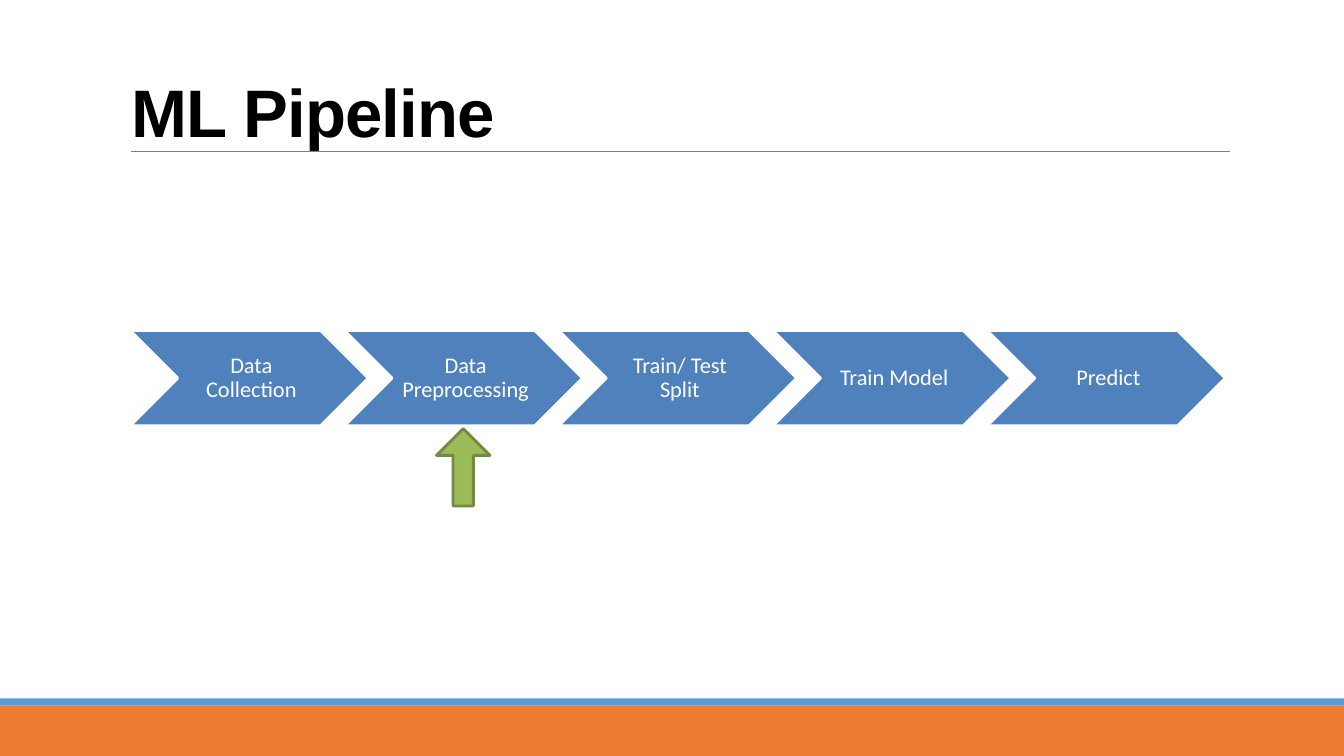
from dataclasses import dataclass

import pptx
import pptx.dml.color
import pptx.enum.shapes
import pptx.enum.text
import pptx.oxml
import pptx.oxml.ns
import pptx.util

Cm = pptx.util.Cm
Pt = pptx.util.Pt
Kind = pptx.enum.shapes.MSO_SHAPE
Align = pptx.enum.text.PP_ALIGN
Anchor = pptx.enum.text.MSO_ANCHOR


@dataclass(frozen=True)
class Theme:
    white: str = "FFFFFF"
    black: str = "000000"
    rule: str = "808080"
    orange: str = "ED7D31"
    sky: str = "5B9BD5"
    blue: str = "4F81BD"
    green: str = "9BBB59"
    moss: str = "738A42"
    head: str = "Arial"
    body: str = "Calibri"
    big: float = 48
    small: float = 16


@dataclass(frozen=True)
class Box:
    left: float
    top: float
    width: float
    height: float


@dataclass(frozen=True)
class Figure:
    kind: Kind
    box: Box
    fill: str
    line: str = ""
    text: str = ""


THEME = Theme()
WIDTH, HEIGHT = 33.87, 19.05
STAGES = ("Data Collection", "Data Preprocessing", "Train/ Test Split",
          "Train Model", "Predict")
FIRST, STEP = 3.28, 5.4


def color(code: str) -> pptx.dml.color.RGBColor:
    return pptx.dml.color.RGBColor.from_string(code)


def write(shape, text: str, *, font: str, size: float, ink: str,
          bold: bool = False, align=Align.LEFT, anchor=Anchor.MIDDLE,
          inset=(0, 0, 0, 0), leading: float = 1, spacing: int = 0) -> None:
    frame = shape.text_frame
    frame.word_wrap = True
    frame.auto_size = pptx.enum.text.MSO_AUTO_SIZE.NONE
    frame.vertical_anchor = anchor
    (frame.margin_left, frame.margin_top,
     frame.margin_right, frame.margin_bottom) = map(Cm, inset)
    line = frame.paragraphs[0]
    line.alignment = align
    line.line_spacing = leading
    run = line.add_run()
    run.text = text
    run.font.name = font
    run.font.size = Pt(size)
    run.font.bold = bold
    run.font.color.rgb = color(ink)
    if spacing:
        run.font._element.set("spc", str(spacing))


def place(shape, box: Box) -> None:
    shape.left, shape.top = Cm(box.left), Cm(box.top)
    shape.width, shape.height = Cm(box.width), Cm(box.height)


def draw(slide, item: Figure):
    shape = slide.shapes.add_shape(item.kind, 0, 0, 0, 0)
    place(shape, item.box)
    shape.shadow.inherit = False
    shape.fill.solid()
    shape.fill.fore_color.rgb = color(item.fill)
    if item.line:
        shape.line.color.rgb = color(item.line)
        shape.line.width = Pt(2)
    else:
        shape.line.fill.background()
    if item.text:
        write(shape, item.text, font=THEME.body, size=THEME.small,
              ink=THEME.white, align=Align.CENTER,
              inset=(0.17, 0.06, 0.06, 0.06), leading=0.9)
    return shape


def rule(slide, left: float, right: float, top: float) -> None:
    line = slide.shapes.add_connector(
        pptx.enum.shapes.MSO_CONNECTOR.STRAIGHT,
        Cm(left), Cm(top), Cm(right), Cm(top))
    line.line.color.rgb = color(THEME.rule)
    line.line.width = Pt(0.48)
    line._element.spPr.append(pptx.oxml.parse_xml(
        f'<a:effectLst {pptx.oxml.ns.nsdecls("a")}/>'))


def main() -> None:
    deck = pptx.Presentation()
    deck.slide_width, deck.slide_height = Cm(WIDTH), Cm(HEIGHT)
    slide = deck.slides.add_slide(deck.slide_layouts[5])

    title = slide.shapes.title
    place(title, Box(3.28, 1.7, 16.4, 2.11))
    write(title, "ML Pipeline", font=THEME.head, size=THEME.big,
          ink=THEME.black, bold=True, anchor=Anchor.BOTTOM,
          inset=(0.03, 0.03, 0, 0), spacing=-60)

    draw(slide, Figure(Kind.RECTANGLE, Box(0, 17.78, WIDTH, 1.27), THEME.orange))
    draw(slide, Figure(Kind.RECTANGLE, Box(0, 17.6, WIDTH, 0.18), THEME.sky))
    rule(slide, 3.31, 30.99, 3.82)

    for index, stage in enumerate(STAGES):
        box = Box(FIRST + index * STEP, 8.33, 6, 2.4)
        draw(slide, Figure(Kind.CHEVRON, box, THEME.blue, THEME.white, stage))

    arrow = draw(slide, Figure(Kind.UP_ARROW, Box(11, 10.8, 1.35, 1.95),
                               THEME.green, THEME.moss))
    arrow.adjustments[0] = 0.38

    deck.save("out.pptx")


if __name__ == "__main__":
    main()
